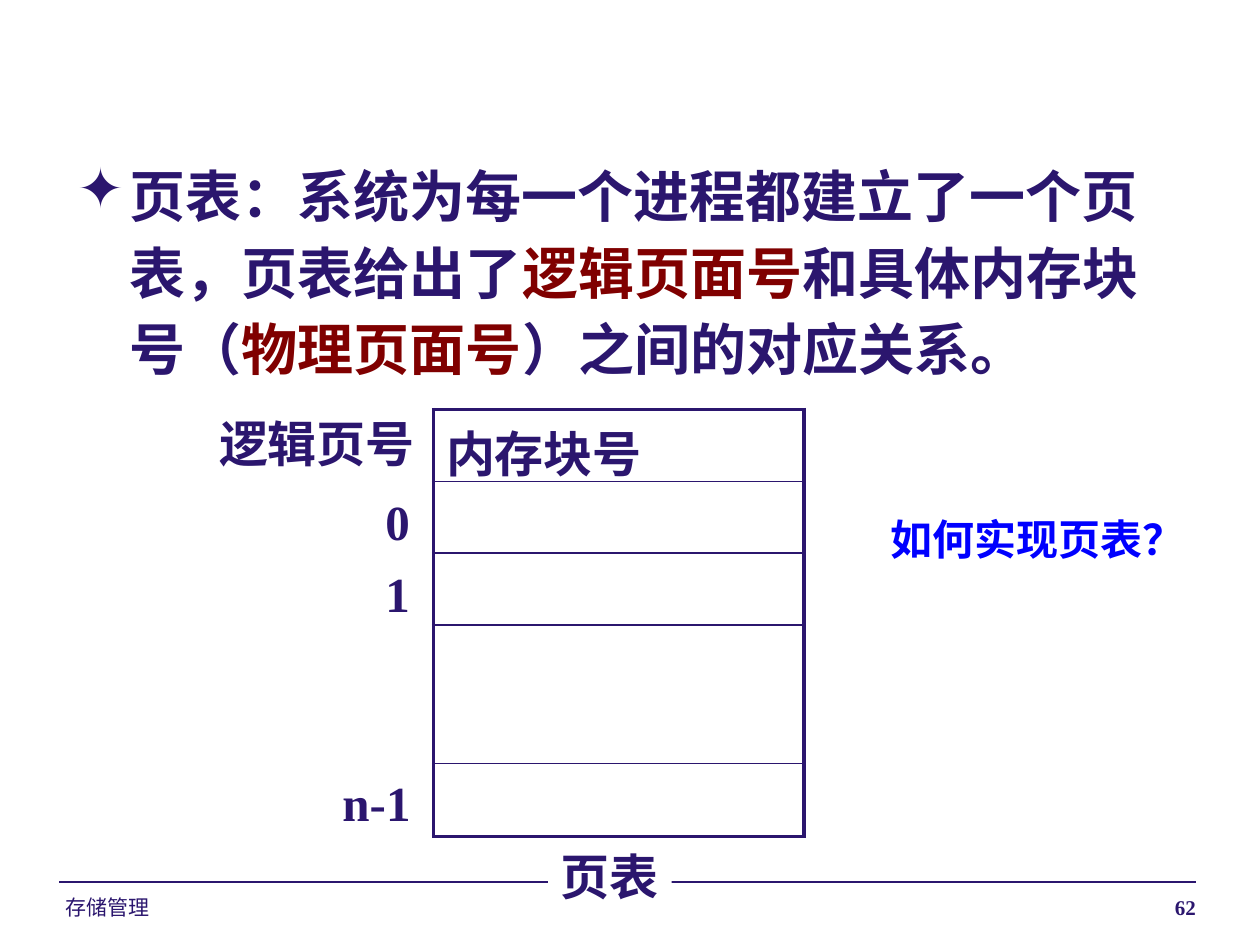
from lxml import etree
from pptx import Presentation
from pptx.dml.color import RGBColor
from pptx.enum.shapes import MSO_CONNECTOR, MSO_SHAPE
from pptx.enum.text import MSO_ANCHOR, PP_ALIGN
from pptx.oxml.ns import qn
from pptx.util import Pt

PX = 9144
STRAIGHT, RECT = MSO_CONNECTOR.STRAIGHT, MSO_SHAPE.RECTANGLE
TOP = MSO_ANCHOR.TOP
LEFT, CENTER, RIGHT = PP_ALIGN.LEFT, PP_ALIGN.CENTER, PP_ALIGN.RIGHT
INK, RED, BLUE, WHITE = "2B166E", "800000", "0000FF", "FFFFFF"
SERIF, SANS, CJK = "Times New Roman", "Arial", "Noto Sans CJK SC"


def px(*values):
    """Turn pixel lengths into EMU."""
    return [v * PX for v in values]


def rgb(value):
    """Return the colour of a hex string."""
    return RGBColor.from_string(value)


def add_run(p, text, size=28, color=INK, font=SERIF, bold=True):
    """Add one formatted run to a paragraph."""
    r = p.add_run()
    r.text = text
    r.font.size = Pt(size)
    r.font.bold = bold
    r.font.name = font
    r.font.color.rgb = rgb(color)
    ea = etree.SubElement(r._r.get_or_add_rPr(), qn("a:ea"))
    ea.set("typeface", CJK)


def set_frame(tf, wrap):
    """Set wrapping, anchor and insets of a text frame."""
    tf.word_wrap = wrap
    tf.vertical_anchor = TOP
    tf.margin_left, tf.margin_right = px(10, 10)
    tf.margin_top, tf.margin_bottom = px(5, 5)


def add_text(s, box, text, align=LEFT, wrap=False, fill=None, **fmt):
    """Add a one-paragraph text box, or a filled rectangle with text."""
    if fill:
        sp = s.shapes.add_shape(RECT, *px(*box))
        sp.shadow.inherit = False
        sp.fill.solid()
        sp.fill.fore_color.rgb = rgb(fill)
        sp.line.fill.background()
    else:
        sp = s.shapes.add_textbox(*px(*box))
    set_frame(sp.text_frame, wrap)
    p = sp.text_frame.paragraphs[0]
    p.alignment = align
    add_run(p, text, **fmt)


def add_bullet(s, box, parts):
    """Add a bulleted paragraph made of coloured parts."""
    tf = s.shapes.add_textbox(*px(*box)).text_frame
    set_frame(tf, True)
    p = tf.paragraphs[0]
    pPr = p._p.get_or_add_pPr()
    indent = 41 * PX
    pPr.set("marL", str(indent))
    pPr.set("indent", str(-indent))
    clr = etree.SubElement(pPr, qn("a:buClr"))
    etree.SubElement(clr, qn("a:srgbClr")).set("val", INK)
    etree.SubElement(pPr, qn("a:buChar")).set("char", "✦")
    p.line_spacing = 1.14
    for text, color in parts:
        add_run(p, text, size=32, color=color)


def add_rule(s, x1, y1, x2, y2):
    """Add a thin straight line."""
    c = s.shapes.add_connector(STRAIGHT, *px(x1, y1, x2, y2))
    c.line.color.rgb = rgb(INK)
    c.line.width = Pt(0.75)
    etree.SubElement(c._element.spPr, qn("a:effectLst"))


def set_borders(cell, **widths):
    """Draw the borders of a cell, given as side and width in points."""
    tcPr = cell._tc.get_or_add_tcPr()
    for i, (side, width) in enumerate(widths.items()):
        ln = etree.Element(qn(f"a:ln{side}"), w=str(Pt(width)))
        fill = etree.SubElement(ln, qn("a:solidFill"))
        etree.SubElement(fill, qn("a:srgbClr")).set("val", INK)
        tcPr.insert(i, ln)


def add_page_table(s, x, y, width, heights, header):
    """Add the one-column page table with a heavy outline."""
    n = len(heights)
    box = px(x, y, width, sum(heights))
    table = s.shapes.add_table(n, 1, *box).table
    table.first_row = table.horz_banding = False
    for i, height in enumerate(heights):
        table.rows[i].height = height * PX
        cell = table.cell(i, 0)
        cell.fill.background()
        set_borders(cell, L=2.25, R=2.25, T=1 if i else 2.25,
                    B=2.25 if i == n - 1 else 1)
    cell = table.cell(0, 0)
    cell.vertical_anchor = TOP
    cell.margin_left, cell.margin_right = px(10, 10)
    cell.margin_top, cell.margin_bottom = px(5, 0)
    add_run(cell.text_frame.paragraphs[0], header, font=CJK)


def main():
    """Build the slide and save it."""
    prs = Presentation()
    prs.slide_width, prs.slide_height = px(1000, 750)
    s = prs.slides.add_slide(prs.slide_layouts[6])
    add_rule(s, 47, 700, 949, 700)
    add_text(s, (42, 705, 233, 24), "存储管理", wrap=True, size=12,
             font=SANS, bold=False)
    add_text(s, (642, 705, 317, 24), "62", align=RIGHT, wrap=True, size=12)
    add_bullet(s, (52, 116, 902, 188), [
        ("页表：系统为每一个进程都建立了一个页表，页表给出了", INK),
        ("逻辑页面号", RED),
        ("和具体内存块号（", INK),
        ("物理页面号", RED),
        ("）之间的对应关系。", INK),
    ])
    add_text(s, (161, 323, 181, 57), "逻辑页号", align=CENTER, wrap=True)
    add_page_table(s, 344, 325, 294, [57, 57, 57, 110, 58], "内存块号")
    add_text(s, (435, 667, 98, 57), "页表", fill=WHITE)
    for label, y, width in [("0", 385, 40), ("1", 442, 40), ("n-1", 608, 74)]:
        add_text(s, (336 - width, y, width, 57), label)
    add_text(s, (697, 403, 255, 50), "如何实现页表？", size=24, color=BLUE)
    prs.save("out.pptx")


if __name__ == "__main__":
    main()
